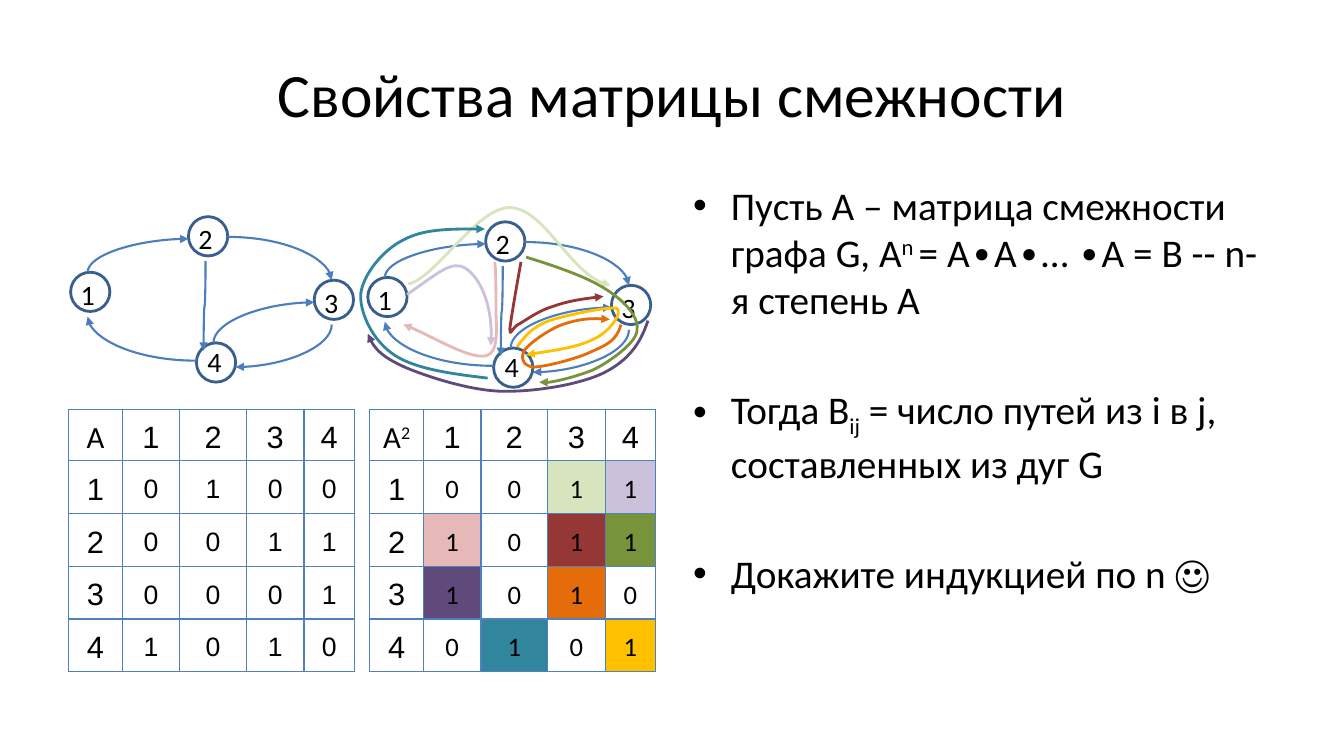
import pptx
import pptx.dml.color
import pptx.enum.shapes
import pptx.enum.text
import pptx.oxml
import pptx.oxml.ns
import pptx.util
from pptx.util import Cm

qn = pptx.oxml.ns.qn
PP_ALIGN = pptx.enum.text.PP_ALIGN
MIDDLE = pptx.enum.text.MSO_ANCHOR.MIDDLE

NODE_SIZE = 0.99
# Node: (corner of the circle, corner of the label)
NODES = {
    "1": ((1.78, 6.86), (1.78, 6.86)),
    "2": ((4.75, 5.46), (4.75, 5.46)),
    "3": ((7.92, 7.06), (7.92, 7.06)),
    "4": ((4.95, 8.64), (4.98, 8.56)),
}
# Arc: start, end, leaves vertically, preset
ARCS = [
    ((2.21, 6.86), (4.75, 6.02), True, "curvedConnector2"),
    ((8.36, 8.18), (5.94, 9.25), True, "curvedConnector2"),
    ((5.18, 6.58), (5.13, 8.84), True, "curvedConnector3"),
    ((5.38, 8.64), (7.92, 7.62), True, "curvedConnector2"),
    ((4.95, 9.09), (2.21, 7.98), False, "curvedConnector2"),
    ((5.74, 5.97), (8.36, 7.06), False, "curvedConnector2"),
]
# Walk of two arcs (from, to): colour, start point followed by Bezier triples
WALKS = {
    (1, 3): ("D7E4BD", [(10.29, 7.16), (11, 6.99), (12.01, 5.23), (12.85, 5.23),
                        (13.72, 5.26), (14.4, 7.01), (15.39, 7.19)]),
    (2, 1): ("E6B9B8", [(12.47, 6.6), (12.5, 6.81), (12.5, 7.44), (12.5, 7.82),
                        (12.5, 8.2), (12.6, 8.92), (12.22, 8.97),
                        (11.81, 9.04), (10.64, 8.33), (10.16, 8.18)]),
    (2, 3): ("953735", [(13.13, 6.6), (13, 7.32), (12.88, 8.03), (12.85, 8.28),
                        (12.85, 8.53), (12.9, 8.23), (13.11, 8.15),
                        (13.28, 8.05), (13.59, 7.82), (13.94, 7.72),
                        (14.3, 7.59), (14.76, 7.52), (15.21, 7.47)]),
    (2, 4): ("77933C", [(13.26, 6.48), (14.07, 6.73), (14.81, 6.99), (15.27, 7.29),
                        (15.75, 7.59), (16.13, 8), (16.05, 8.36),
                        (16, 8.69), (15.21, 9.22), (14.88, 9.35),
                        (14.55, 9.47), (13.79, 9.7), (13.59, 9.63)]),
    (3, 1): ("604A7B", [(16.33, 8.08), (16.13, 8.69), (15.82, 9.09), (15.21, 9.4),
                        (14.58, 9.7), (13.46, 9.88), (12.62, 9.86),
                        (11.81, 9.83), (10.8, 9.5), (10.24, 9.27),
                        (9.68, 9.02), (9.37, 8.74), (9.27, 8.41)]),
    (3, 3): ("E46C0A", [(15.65, 8.18), (15.54, 8.59), (15.29, 8.69), (14.91, 8.86),
                        (14.55, 9.04), (13.72, 9.25), (13.44, 9.25),
                        (13.16, 9.22), (13.11, 8.99), (13.23, 8.81),
                        (13.36, 8.64), (13.82, 8.31), (14.17, 8.18),
                        (14.55, 8.05), (14.94, 8), (15.37, 8.05)]),
    (4, 2): ("31859C", [(12.29, 9.53), (11.38, 9.42), (10.46, 9.3), (9.93, 8.94),
                        (9.4, 8.59), (9.07, 7.9), (9.09, 7.42),
                        (9.14, 6.93), (9.65, 6.3), (10.16, 6.05),
                        (10.67, 5.77), (11.43, 5.77), (12.22, 5.77)]),
    (4, 4): ("FFC000", [(13.03, 8.74), (13.21, 8.51), (13.36, 8.28), (13.79, 8.1),
                        (14.2, 7.95), (15.34, 7.72), (15.54, 7.77),
                        (15.72, 7.85), (15.37, 8.36), (14.99, 8.53),
                        (14.61, 8.74), (13.92, 8.84), (13.26, 8.94)]),
    (1, 4): ("CCC1DA", [(10.26, 7.42), (11.05, 6.88), (11.38, 6.55), (11.73, 6.76),
                        (12.09, 6.99), (12.45, 7.75), (12.37, 8.71)]),
}
ADJACENCY = [[0, 1, 0, 0], [0, 0, 1, 1], [0, 0, 0, 1], [1, 0, 1, 0]]
COLUMN_WIDTHS = [1.35, 1.45, 1.68, 1.45, 1.27]
ROW_HEIGHTS = [1.3] + [1.33] * 4
# Bullet: runs of text with their baseline shift in percent
BULLETS = [
    [("Пусть А – матрица смежности графа G, А", 0), ("n ", 30),
     ("= А∙А∙… ∙А = B -- n-я степень А", 0)],
    [("Тогда B", 0), ("ij", -25), (" = число путей из i в j, составленных из дуг G", 0)],
    [("Докажите индукцией по n ☺", 0)],
]


def color(value):
    return pptx.dml.color.RGBColor.from_string(value)


def add_xml(parent, tag, **attributes):
    element = parent.makeelement(qn(tag), attributes)
    parent.append(element)
    return element


def write_runs(paragraph, runs, size, font_name="Calibri"):
    for text, baseline in runs:
        run = paragraph.add_run()
        run.text = text
        run.font.size = pptx.util.Pt(size)
        run.font.name = font_name
        run.font.color.rgb = color("000000")
        if baseline:
            run._r.get_or_add_rPr().set("baseline", str(baseline * 1000))


def add_text_frame(shapes, left, top, width, height, wrap=True):
    text_frame = shapes.add_textbox(Cm(left), Cm(top), Cm(width), Cm(height)).text_frame
    text_frame.word_wrap = wrap
    return text_frame


def style_line(shape, line_color, width, arrow=False):
    shape.line.color.rgb = color(line_color)
    shape.line.width = pptx.util.Pt(width)
    if arrow:
        add_xml(shape.line._get_or_add_ln(), "a:tailEnd", type="triangle")


def add_title(slide):
    text_frame = add_text_frame(slide.shapes, 1.7, 0.76, 30.48, 3.18)
    text_frame.vertical_anchor = MIDDLE
    text_frame.paragraphs[0].alignment = PP_ALIGN.CENTER
    write_runs(text_frame.paragraphs[0], [("Свойства матрицы смежности", 0)], 44)


def add_bullets(slide):
    text_frame = add_text_frame(slide.shapes, 17.22, 4.44, 14.96, 12.57)
    for index, runs in enumerate(BULLETS):
        paragraph = text_frame.add_paragraph() if index else text_frame.paragraphs[0]
        if index:
            paragraph.space_before = pptx.util.Pt(45)
        properties = paragraph._p.get_or_add_pPr()
        properties.set("marL", str(Cm(0.95)))
        properties.set("indent", str(-Cm(0.95)))
        add_xml(properties, "a:buFont", typeface="Arial")
        add_xml(properties, "a:buChar", char="•")
        write_runs(paragraph, runs, 28)


def add_arc(shapes, start, end, vertical, preset):
    """Draw a curved arrow; one that leaves vertically is turned by 90 degrees."""
    across, down = end[0] - start[0], end[1] - start[1]
    middle_x, middle_y = start[0] + across / 2, start[1] + down / 2
    if vertical:
        across, down = down, -across
    arc = shapes.add_connector(
        pptx.enum.shapes.MSO_CONNECTOR.CURVE,
        Cm(middle_x - across / 2), Cm(middle_y - down / 2),
        Cm(middle_x + across / 2), Cm(middle_y + down / 2))
    properties = arc._element.spPr
    properties.find(qn("a:prstGeom")).set("prst", preset)
    if vertical:
        properties.find(qn("a:xfrm")).set("rot", str(90 * 60000))
    style_line(arc, "4B7EBC", 1.5, arrow=True)
    add_xml(properties, "a:effectLst")


def add_graph(slide, shift_x, shift_y):
    def moved(point):
        return point[0] + shift_x, point[1] + shift_y

    shapes = slide.shapes.add_group_shape().shapes
    for corner, _ in NODES.values():
        left, top = moved(corner)
        circle = shapes.add_shape(pptx.enum.shapes.MSO_SHAPE.OVAL,
                                  Cm(left), Cm(top), Cm(NODE_SIZE), Cm(NODE_SIZE))
        circle.shadow.inherit = False
        circle.fill.background()
        style_line(circle, "3A5F8C", 2)
    for label, (_, corner) in NODES.items():
        text_frame = add_text_frame(shapes, *moved(corner), 0.86, 1.12, wrap=False)
        write_runs(text_frame.paragraphs[0], [(label, 0)], 20)
    for start, end, vertical, preset in ARCS:
        add_arc(shapes, moved(start), moved(end), vertical, preset)


def add_walk(slide, walk_color, points):
    """Draw an arrow along Bezier curves given as a start and triples of points."""
    first, *others = [(Cm(x), Cm(y)) for x, y in points]
    builder = slide.shapes.build_freeform(*first)
    builder.add_line_segments(others, close=False)
    walk = builder.convert_to_shape()
    walk.shadow.inherit = False
    walk.fill.background()
    style_line(walk, walk_color, 2, arrow=True)
    outline = next(walk._element.iter(qn("a:path")))
    segments = outline.findall(qn("a:lnTo"))
    for index in range(0, len(segments), 3):
        curve = add_xml(outline, "a:cubicBezTo")
        for segment in segments[index:index + 3]:
            curve.append(segment[0])
            outline.remove(segment)


def fill_cell(cell, runs, size, font_name, background):
    cell.vertical_anchor = MIDDLE
    cell.margin_left = cell.margin_right = Cm(0.18)
    cell.margin_top = cell.margin_bottom = 0
    paragraph = cell.text_frame.paragraphs[0]
    paragraph.alignment = PP_ALIGN.CENTER
    paragraph.line_spacing = 1.15
    write_runs(paragraph, runs, size, font_name)
    for side in ("a:lnL", "a:lnR", "a:lnT", "a:lnB"):
        border = add_xml(cell._tc.get_or_add_tcPr(), side, w=str(pptx.util.Pt(1)))
        add_xml(add_xml(border, "a:solidFill"), "a:srgbClr", val="4F81BD")
    if background:
        cell.fill.solid()
        cell.fill.fore_color.rgb = color(background)
    else:
        cell.fill.background()


def add_matrix(slide, left, name_runs, matrix, value_font, cell_colors):
    table = slide.shapes.add_table(5, 5, Cm(left), Cm(10.31), Cm(sum(COLUMN_WIDTHS)),
                                   Cm(sum(ROW_HEIGHTS))).table
    table.first_row = table.horz_banding = False
    for index in range(5):
        table.columns[index].width = Cm(COLUMN_WIDTHS[index])
        table.rows[index].height = Cm(ROW_HEIGHTS[index])
    fill_cell(table.cell(0, 0), name_runs, 22, "Calibri", None)
    for row, values in enumerate(matrix, 1):
        for cell in (table.cell(0, row), table.cell(row, 0)):
            fill_cell(cell, [(str(row), 0)], 22, "Arial", None)
        for column, value in enumerate(values, 1):
            fill_cell(table.cell(row, column), [(str(value), 0)], 19, value_font,
                      cell_colors.get((row, column)))


def main():
    presentation = pptx.Presentation()
    presentation.slide_width, presentation.slide_height = Cm(33.87), Cm(19.05)
    slide = presentation.slides.add_slide(presentation.slide_layouts[6])
    add_title(slide)
    add_bullets(slide)
    add_graph(slide, 0, 0)
    add_matrix(slide, 1.73, [("А", 0)], ADJACENCY, "Arial", {})
    squared = [[sum(a * b for a, b in zip(row, column)) for column in zip(*ADJACENCY)]
               for row in ADJACENCY]
    walk_colors = {ends: walk_color for ends, (walk_color, _) in WALKS.items()}
    add_matrix(slide, 9.32, [("А", 0), ("2", 30)], squared, "Calibri", walk_colors)
    add_graph(slide, 7.49, 0.13)
    for walk_color, points in WALKS.values():
        add_walk(slide, walk_color, points)
    presentation.save("out.pptx")


if __name__ == "__main__":
    main()
